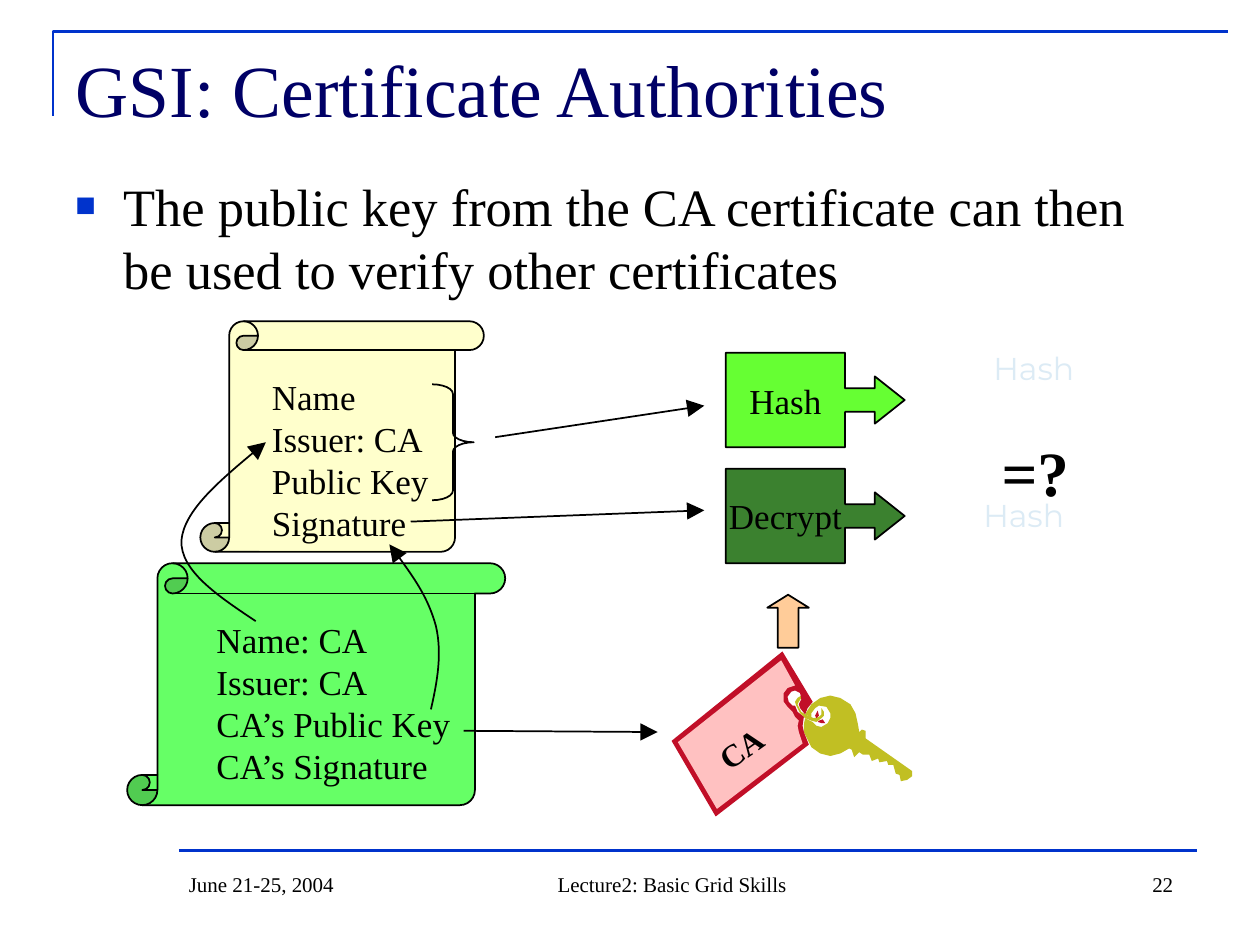
from dataclasses import dataclass

from lxml.etree import SubElement
from pptx import Presentation
from pptx.dml.color import RGBColor
from pptx.enum.shapes import MSO_CONNECTOR, MSO_SHAPE
from pptx.enum.text import MSO_ANCHOR, PP_ALIGN
from pptx.oxml.ns import qn
from pptx.util import Inches, Pt


@dataclass(frozen=True)
class Theme:
    serif: str = "Times New Roman"
    sans: str = "Montserrat"
    ink: str = "000000"
    title: str = "000066"
    rule: str = "0033CC"
    pale_hash: str = "DCEBF5"
    user_scroll: str = "FFFFCC"
    ca_scroll: str = "66FF66"
    hash_box: str = "66FF33"
    decrypt_box: str = "3B812F"
    up_arrow: str = "FFCC99"
    key: str = "C1BF23"
    tag_edge: str = "C10F28"
    tag_face: str = "FFC1C1"
    title_size: int = 42
    compare_size: int = 36
    body_size: int = 30
    label_size: int = 20
    small_size: int = 18
    footer_size: int = 12


theme = Theme()


def dress(shape, fill=None, line=None, lines=(), width=1, size=theme.label_size,
          color=theme.ink, font=theme.serif, bold=False, align=PP_ALIGN.LEFT,
          anchor=MSO_ANCHOR.TOP, wrap=False):
    """Give a shape its fill and outline, then write its lines of text."""
    if fill:
        shape.fill.solid()
        shape.fill.fore_color.rgb = RGBColor.from_string(fill)
    else:
        shape.fill.background()
    if line:
        shape.line.color.rgb = RGBColor.from_string(line)
        shape.line.width = Pt(width)
    else:
        shape.line.fill.background()
    if not shape.is_placeholder:
        shape.shadow.inherit = False
    if not lines:
        return shape
    frame = shape.text_frame
    frame_format = {
        "word_wrap": wrap, "vertical_anchor": anchor,
        "margin_left": Inches(0.1), "margin_right": Inches(0.1),
        "margin_top": Inches(0.05), "margin_bottom": Inches(0.05),
    }
    for name, value in frame_format.items():
        setattr(frame, name, value)
    for index, words in enumerate(lines):
        para = frame.add_paragraph() if index else frame.paragraphs[0]
        para.alignment = align
        span = para.add_run()
        span.text = words
        for name, value in {"name": font, "size": Pt(size), "bold": bold}.items():
            setattr(span.font, name, value)
        span.font.color.rgb = RGBColor.from_string(color)
    return shape


def draw_outline(shapes, start, steps, closed=True):
    """Draw from start in hundredths of an inch; six-number steps are Bézier curves."""
    points = [step[i:i + 2] for step in steps for i in range(0, len(step), 2)]
    builder = shapes.build_freeform(*start, scale=Inches(0.01))
    builder.add_line_segments(points, close=closed)
    shape = builder.convert_to_shape()
    segments = iter(list(shape._element.iter(qn("a:lnTo"))))
    for step in steps:
        parts = [next(segments) for _ in range(len(step) // 2)]
        if len(parts) == 3:
            parts[0].tag = qn("a:cubicBezTo")
            for part in parts[1:]:
                parts[0].append(part[0])
                part.getparent().remove(part)
    return shape


deck = Presentation()
deck.slide_width, deck.slide_height = Inches(10), Inches(7.5)
page = deck.slides.add_slide(deck.slide_layouts[5])
shapes = page.shapes

# Frame rules, title and body
dress(draw_outline(shapes, (42, 92), [(42, 25), (975, 25)], closed=False),
      line=theme.rule, width=1.5)
title = shapes.title
title.left, title.top, title.width, title.height = map(Inches, (0.5, 0.3, 8.58, 0.95))
dress(title, lines=["GSI: Certificate Authorities"], size=theme.title_size,
      color=theme.title, wrap=True)
body = shapes.add_textbox(*map(Inches, (0.5, 1.33, 9, 5.37)))
dress(body, lines=["The public key from the CA certificate can then be used to verify "
                   "other certificates"], size=theme.body_size, wrap=True)
properties = body.text_frame.paragraphs[0]._p.get_or_add_pPr()
properties.set("marL", str(Inches(0.38)))
properties.set("indent", str(-Inches(0.38)))
bullet_color = SubElement(properties, qn("a:buClr"))
SubElement(bullet_color, qn("a:srgbClr"), val=theme.rule)
SubElement(properties, qn("a:buSzPct"), val="65000")
SubElement(properties, qn("a:buFont"), typeface=theme.serif)
SubElement(properties, qn("a:buChar"), char="■")

# Certificates
certificates = [
    ((1.59, 2.55, 2.25, 1.83), (2.06, 2.93, 1.44, 1.44), theme.user_scroll,
     ["Name", "Issuer: CA", "Public Key", "Signature"]),
    ((1.01, 4.47, 3, 1.92), (1.62, 4.86, 2.1, 1.44), theme.ca_scroll,
     ["Name: CA", "Issuer: CA", "CA’s Public Key", "CA’s Signature"]),
]
for scroll_place, text_place, fill, fields in certificates:
    certificate = shapes.add_group_shape().shapes
    scroll = certificate.add_shape(MSO_SHAPE.VERTICAL_SCROLL, *map(Inches, scroll_place))
    dress(scroll, fill, theme.ink)
    label = certificate.add_shape(MSO_SHAPE.RECTANGLE, *map(Inches, text_place))
    dress(label, fill, lines=fields)

# Hash and decrypt steps, and their results
for top, fill, name in [(2.8, theme.hash_box, "Hash"), (3.72, theme.decrypt_box, "Decrypt")]:
    callout = shapes.add_shape(MSO_SHAPE.RIGHT_ARROW_CALLOUT,
                               *map(Inches, (5.76, top, 1.42, 0.75)))
    for index, value in enumerate((0.25, 0.25, 0.315, 0.667)):
        callout.adjustments[index] = value
    dress(callout, fill, theme.ink, [name], align=PP_ALIGN.CENTER, anchor=MSO_ANCHOR.MIDDLE)
up_arrow = shapes.add_shape(MSO_SHAPE.UP_ARROW, *map(Inches, (6.09, 4.72, 0.33, 0.42)))
up_arrow.adjustments[1] = 0.312
dress(up_arrow, theme.up_arrow, theme.ink)
for left, top in [(7.51, 2.72), (7.43, 3.89)]:
    dress(shapes.add_textbox(*map(Inches, (left, top, 1.39, 0.71))), lines=["Hash"],
          size=theme.small_size, color=theme.pale_hash, font=theme.sans,
          align=PP_ALIGN.CENTER)
dress(shapes.add_textbox(*map(Inches, (7.85, 3.39, 0.85, 0.7))), lines=["=?"],
      size=theme.compare_size, bold=True, wrap=True)

# Brace, straight arrows and curved arrows
brace = shapes.add_shape(MSO_SHAPE.RIGHT_BRACE, *map(Inches, (3.43, 3.05, 0.33, 0.92)))
brace.adjustments[0] = 0.23
dress(brace, line=theme.ink)
straight_lines = [
    ((1.42, 6.75, 9.5, 6.75), theme.rule, 1.5, False),
    ((3.93, 3.47, 5.59, 3.22), theme.ink, 1, True),
    ((3.26, 4.14, 5.59, 4.05), theme.ink, 1, True),
    ((3.68, 5.8, 5.22, 5.81), theme.ink, 1, True),
]
arrows = []
for ends, color, width, pointed in straight_lines:
    connector = shapes.add_connector(MSO_CONNECTOR.STRAIGHT, *map(Inches, ends))
    connector.line.color.rgb = RGBColor.from_string(color)
    connector.line.width = Pt(width)
    SubElement(connector._element.spPr, qn("a:effectLst"))
    if pointed:
        arrows.append(connector)
for start, curves in [
    ((203, 493), [(173, 473, 143, 453, 144, 429), (146, 406, 178, 378, 211, 351)]),
    ((342, 563), [(347, 541, 351, 519, 346, 497), (340, 475, 325, 453, 309, 432)]),
]:
    arrows.append(dress(draw_outline(shapes, start, curves, closed=False), line=theme.ink))
for arrow in arrows:
    SubElement(arrow._element.spPr.find(qn("a:ln")), qn("a:tailEnd"),
               type="triangle", w="lg", len="lg")

# Key with its tag
key_blade = [
    (641, 568), (644, 570), (644, 566), (647, 562), (650, 560), (656, 561), (659, 566),
    (659, 570), (657, 574), (652, 577), (648, 576), (645, 573), (639, 570), (638, 575),
    (638, 581), (641, 587), (644, 593), (651, 598), (659, 600), (667, 598), (674, 594),
    (676, 595), (678, 601), (682, 597), (685, 599), (690, 599), (692, 604), (697, 602),
    (698, 605), (704, 604), (705, 607), (709, 607), (711, 614), (714, 615), (715, 620),
    (720, 619), (724, 616), (724, 612), (687, 586), (687, 580), (684, 579), (682, 581),
    (681, 575), (679, 566), (675, 559), (667, 554), (659, 552), (651, 554), (644, 559),
    (639, 567)]
key_ring = [
    (650, 569), (652, 567), (652, 562), (654, 565), (654, 568), (652, 570), (648, 573),
    (644, 572), (639, 570), (635, 566), (632, 560), (631, 557), (633, 554), (636, 552),
    (636, 554), (634, 557), (633, 559), (636, 565), (641, 568), (646, 570)]
lower_gap = [(653, 571), (655, 574), (652, 574), (649, 573), (650, 572)]
upper_gap = [(648, 566), (647, 568), (648, 570), (650, 568), (649, 564)]
tag_edge = [
    (637, 576), (638, 581), (642, 591), (568, 648), (533, 588), (621, 517), (645, 557),
    (641, 562), (639, 567), (635, 562), (634, 559), (636, 555), (635, 550), (631, 548),
    (628, 549), (625, 553), (626, 557), (629, 560), (631, 560), (633, 565), (638, 569)]
tag_face = [
    (620, 524), (538, 589), (569, 642), (637, 590), (634, 581), (633, 576), (634, 572),
    (631, 569), (629, 565), (625, 561), (622, 557), (622, 550), (625, 546), (631, 544)]
tagged_key = shapes.add_group_shape().shapes
for outline, fill in [
    (key_blade, theme.key), (key_ring, theme.key), (lower_gap, theme.tag_edge),
    (upper_gap, theme.tag_edge), (tag_edge, theme.tag_edge), (tag_face, theme.tag_face),
]:
    dress(draw_outline(tagged_key, outline[0], outline[1:]), fill)
tag_label = tagged_key.add_textbox(*map(Inches, (5.6, 5.74, 0.56, 0.4)))
tag_label.rotation = 324.5
dress(tag_label, lines=["CA"], size=theme.small_size, bold=True)

# Footer
for place, words, align in [
    ((3.75, 6.83, 3.17, 0.34), "Lecture2: Basic Grid Skills", PP_ALIGN.CENTER),
    ((7.08, 6.83, 2.33, 0.34), "22", PP_ALIGN.RIGHT),
    ((1.4, 6.83, 2.27, 0.34), "June 21-25, 2004", PP_ALIGN.LEFT),
]:
    dress(shapes.add_textbox(*map(Inches, place)), lines=[words], size=theme.footer_size,
          align=align, anchor=MSO_ANCHOR.BOTTOM, wrap=True)

deck.save("out.pptx")
